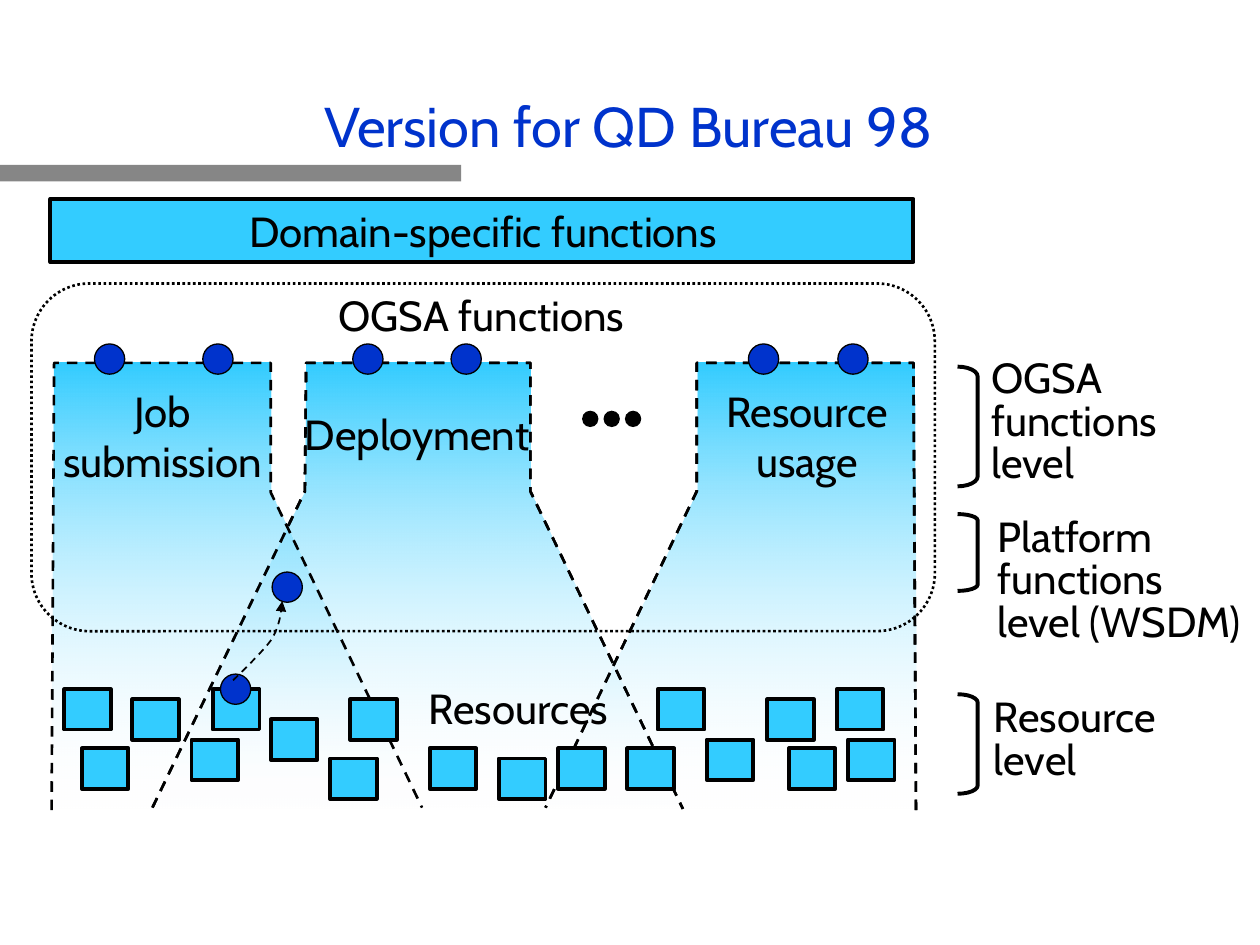
from lxml.etree import SubElement
from pptx import Presentation
from pptx.dml.color import RGBColor
from pptx.enum.dml import MSO_LINE
from pptx.enum.shapes import MSO_SHAPE
from pptx.enum.text import MSO_ANCHOR, MSO_AUTO_SIZE, PP_ALIGN
from pptx.oxml.ns import qn
from pptx.util import Inches, Pt

COLORS = {
    "black": "000000",
    "bar": "868686",
    "cyan": "33CCFF",
    "blue": "0033CC",
    "white": "FFFFFF",
}
RGB = {name: RGBColor.from_string(value) for name, value in COLORS.items()}

prs = Presentation()
prs.slide_width, prs.slide_height = Inches(10), Inches(7.5)
slide = prs.slides.add_slide(prs.slide_layouts[6])
shapes = slide.shapes


def paint(shape, fill=None, width=None, dash=None):
    shape.shadow.inherit = False
    if fill:
        shape.fill.solid()
        shape.fill.fore_color.rgb = RGB[fill]
    else:
        shape.fill.background()
    if width:
        shape.line.color.rgb = RGB["black"]
        shape.line.width = Pt(width)
        if dash:
            shape.line.dash_style = dash
    else:
        shape.line.fill.background()
    return shape


def add_open_path(points):
    corners = [(Inches(x), Inches(y)) for x, y in points]
    builder = shapes.build_freeform(*corners[0], scale=1.0)
    builder.add_line_segments(corners[1:], close=False)
    return builder.convert_to_shape()


# Grey bar under the title
paint(shapes.add_shape(MSO_SHAPE.RECTANGLE, 0, Inches(1.31), Inches(3.66), Inches(0.13)), "bar")

# Funnels from the functions down to the resources: right, middle, left
funnels = [
    [(7.27, 6.43), (7.25, 2.88), (5.53, 2.88), (5.53, 3.9), (4.33, 6.41)],
    [(1.21, 6.41), (2.42, 3.9), (2.43, 2.88), (4.21, 2.88), (4.21, 3.9), (5.42, 6.42)],
    [(0.41, 6.43), (0.43, 2.88), (2.15, 2.88), (2.15, 3.91), (3.35, 6.41)],
]
for corners in funnels:
    funnel = paint(add_open_path(corners), None, 1.5, MSO_LINE.DASH)
    funnel.fill.gradient()
    funnel.fill.gradient_angle = 270
    for stop, color, position in zip(funnel.fill.gradient_stops, ("cyan", "white"), (0, 1)):
        stop.color.rgb = RGB[color]
        stop.position = position
    fade = funnel.fill.gradient_stops[1].color
    last_color = funnel._element.spPr.findall(".//" + qn("a:gs"))[-1].find(qn("a:srgbClr"))
    SubElement(last_color, qn("a:alpha"), val="0")

# Outlines hidden by the overlapping funnels
for corners in funnels[:2]:
    paint(add_open_path(corners), None, 1.5, MSO_LINE.DASH)

# Ellipsis between the functions
for i in range(3):
    paint(shapes.add_shape(MSO_SHAPE.OVAL, Inches(4.62 + 0.17 * i), Inches(3.26),
                           Inches(0.13), Inches(0.13)), "black")

# Domain bar and dotted OGSA frame
paint(shapes.add_shape(MSO_SHAPE.RECTANGLE, Inches(0.4), Inches(1.58),
                       Inches(6.85), Inches(0.5)), "cyan", 2.25)
paint(shapes.add_shape(MSO_SHAPE.ROUNDED_RECTANGLE, Inches(0.25), Inches(2.25),
                       Inches(7.17), Inches(2.76)), None, 1.5, MSO_LINE.ROUND_DOT)

# Level brackets
bracket_width = 0.16
for top, height in [(2.91, 0.95), (4.08, 0.61), (5.51, 0.79)]:
    bracket = paint(shapes.add_shape(MSO_SHAPE.RIGHT_BRACKET, Inches(7.6), Inches(top),
                                     Inches(bracket_width), Inches(height)), None, 2.25)
    bracket.adjustments[0] = height / 12 / bracket_width

# Texts
centered = {"alignment": PP_ALIGN.CENTER}
level = {"alignment": PP_ALIGN.LEFT, "line_spacing": 0.85}
label_font = {"name": "Cabin", "size": Pt(24)}
title_font = {"name": "Cabin", "size": Pt(32)}
label_frame = {"word_wrap": False, "auto_size": MSO_AUTO_SIZE.SHAPE_TO_FIT_TEXT}
title_frame = {"word_wrap": True, "vertical_anchor": MSO_ANCHOR.BOTTOM}
label_style = (label_frame, centered, label_font, "black")
level_style = (label_frame, level, label_font, "black")
title_style = (title_frame, centered, title_font, "blue")
texts = [
    ("Version for QD Bureau 98", 0.25, 0.5, 9.48, 0.81, title_style),
    ("Domain-specific functions", 1.71, 1.58, 4.25, 0.5, label_style),
    ("OGSA functions", 2.5, 2.25, 2.64, 0.5, label_style),
    ("Job\vsubmission", 0.3, 3.01, 1.98, 0.9, label_style),
    ("Deployment", 2.25, 3.19, 2.12, 0.5, label_style),
    ("Resource\nusage", 5.58, 3.01, 1.65, 0.9, label_style),
    ("Resources", 3.21, 5.37, 1.81, 0.5, label_style),
    ("OGSA\nfunctions\nlevel", 7.77, 2.8, 1.66, 1.12, level_style),
    ("Platform\nfunctions\nlevel (WSDM)", 7.82, 4.06, 2.24, 1.12, level_style),
    ("Resource\nlevel", 7.79, 5.49, 1.65, 0.78, level_style),
]
for wording, left, top, width, height, style in texts:
    frame_format, paragraph_format, font_format, color = style
    frame = shapes.add_textbox(Inches(left), Inches(top), Inches(width), Inches(height)).text_frame
    frame.text = wording
    for key, value in frame_format.items():
        setattr(frame, key, value)
    for paragraph in frame.paragraphs:
        for key, value in paragraph_format.items():
            setattr(paragraph, key, value)
        for run in paragraph.runs:
            for key, value in font_format.items():
                setattr(run.font, key, value)
            run.font.color.rgb = RGB[color]

# Resource boxes, row by row
resource_rows = {
    5.47: [0.51, 1.69, 5.22, 6.64],
    5.55: [1.05, 2.78, 6.09],
    5.71: [2.15],
    5.87: [1.52, 5.61, 6.73],
    5.94: [0.65, 3.41, 4.43, 4.98, 6.26],
    6.02: [2.62, 3.96],
}
for top, lefts in resource_rows.items():
    for left in lefts:
        paint(shapes.add_shape(MSO_SHAPE.RECTANGLE, Inches(left), Inches(top),
                               Inches(0.37), Inches(0.32)), "cyan", 2.25)

# Interfaces: on the functions, on the platform and on one resource
interfaces = [(left, 2.73) for left in (0.75, 1.61, 2.8, 3.58, 5.94, 6.65)]
interfaces += [(2.16, 4.54), (1.75, 5.35)]
for left, top in interfaces:
    paint(shapes.add_shape(MSO_SHAPE.OVAL, Inches(left), Inches(top),
                           Inches(0.24), Inches(0.24)), "blue", 0.75)

# Curved arrow from the resource to the platform, as two Bezier pieces
curves = [
    [(1.85, 5.4), (1.9, 5.35), (2.09, 5.17), (2.16, 5.07)],
    [(2.16, 5.07), (2.22, 4.96), (2.23, 4.87), (2.24, 4.77)],
]
steps = 6
arrow_points = [curves[0][0]]
for curve in curves:
    for step in range(1, steps + 1):
        t = step / steps
        weights = [(1 - t) ** 3, 3 * t * (1 - t) ** 2, 3 * t ** 2 * (1 - t), t ** 3]
        arrow_points.append(tuple(sum(w * p[axis] for w, p in zip(weights, curve))
                                  for axis in (0, 1)))
arrow = paint(add_open_path(arrow_points), None, 1, MSO_LINE.DASH)
SubElement(arrow.line._get_or_add_ln(), qn("a:tailEnd"), type="triangle")

prs.save("out.pptx")
